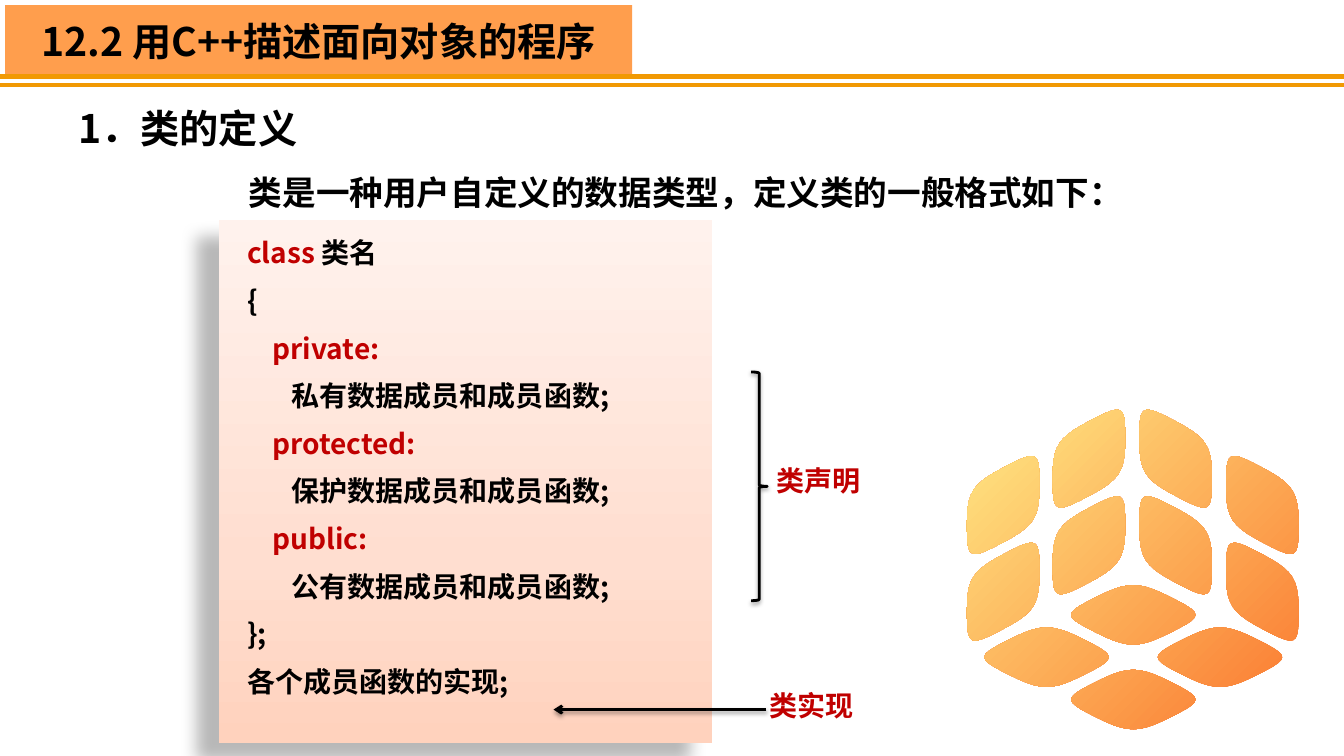
"""Build a slide on defining a C++ class, with an annotated code panel."""
import copy
import dataclasses
import typing

import lxml.etree
import pptx
import pptx.dml.color
import pptx.enum.shapes
import pptx.enum.text
import pptx.oxml
import pptx.oxml.ns
import pptx.util

Inches = pptx.util.Inches
FONT = "Noto Sans CJK SC"
BLACK, RED, BLUE, GOLD = "000000", "C00000", "0000FF", "F19903"
Pair = tuple[float, float]
Span = tuple[str, str]


@dataclasses.dataclass
class Label:
    left: float
    top: float
    width: float
    height: float
    text: str
    size: int
    color: str = BLACK


@dataclasses.dataclass
class Shadow:
    alpha: int
    blur: float
    distance: float
    angle: int


@dataclasses.dataclass
class Face:
    origin: Pair
    column_step: Pair
    row_step: Pair
    half_column: Pair
    half_row: Pair


LABELS = [
    Label(2.37, 1.73, 9.02, 0.42, "类是一种用户自定义的数据类型，定义类的一般格式如下：", 24),
    Label(0.68, 1.08, 3.23, 0.48, "1．类的定义", 28),
    Label(7.6, 4.61, 1.17, 0.37, "类声明", 20, RED),
    Label(7.53, 6.85, 1.17, 0.37, "类实现", 20, RED),
]
CODE: list[list[Span]] = [
    [("class ", RED), ("类名", BLACK)],
    [("{", BLACK)],
    [("    ", BLUE), ("private:", RED)],
    [("       ", BLUE), ("私有数据成员和成员函数;", BLACK)],
    [("    ", BLUE), ("protected:", RED)],
    [("       ", BLUE), ("保护数据成员和成员函数;", BLACK)],
    [("    public:", RED)],
    [("       ", BLUE), ("公有数据成员和成员函数;", BLACK)],
    [("};", BLACK)],
    [("各个成员函数的实现;", BLACK)],
]
CUBE_FACES = [
    Face((9.95, 5.01), (0.85, -0.46), (0, 0.86), (0.36, -0.19), (0, 0.37)),
    Face((11.66, 4.55), (0.86, 0.46), (0, 0.86), (0.36, 0.19), (0, 0.37)),
    Face((11.24, 6.1), (0.86, 0.42), (-0.86, 0.42), (0.36, 0.18), (0.36, -0.18)),
]
PANEL_SHADOW = Shadow(28, 11.8, 19.7, 141)
LINE_SHADOW = Shadow(38, 3.1, 1.6, 90)


def rgb(color: str) -> pptx.dml.color.RGBColor:
    return pptx.dml.color.RGBColor.from_string(color)


def add_span(para: typing.Any, text: str, size: int, color: str) -> None:
    span = para.add_run()
    span.text = text
    span.font.size = pptx.util.Pt(size)
    span.font.bold = True
    span.font.color.rgb = rgb(color)
    span.font.name = FONT
    east_asian = lxml.etree.SubElement(span._r.get_or_add_rPr(), pptx.oxml.ns.qn("a:ea"))
    east_asian.set("typeface", FONT)


def set_frame(frame: typing.Any, side: float, edge: float) -> None:
    frame.word_wrap = True
    frame.auto_size = pptx.enum.text.MSO_AUTO_SIZE.NONE
    frame.vertical_anchor = pptx.enum.text.MSO_ANCHOR.TOP
    frame.margin_left, frame.margin_right = Inches(side), Inches(0.1)
    frame.margin_top = frame.margin_bottom = Inches(edge)


def set_shadow(shape: typing.Any, shadow: Shadow | None = None) -> None:
    properties = shape._element.spPr
    for effects in properties.findall(pptx.oxml.ns.qn("a:effectLst")):
        properties.remove(effects)
    outer = "" if shadow is None else (
        f'<a:outerShdw blurRad="{pptx.util.Pt(shadow.blur)}" dist="{pptx.util.Pt(shadow.distance)}" '
        f'dir="{shadow.angle * 60000}" algn="ctr" rotWithShape="0"><a:srgbClr val="{BLACK}">'
        f'<a:alpha val="{shadow.alpha * 1000}"/></a:srgbClr></a:outerShdw>')
    properties.append(pptx.oxml.parse_xml(
        f'<a:effectLst {pptx.oxml.ns.nsdecls("a")}>{outer}</a:effectLst>'))


def set_gradient(shape: typing.Any, stops: list[tuple[float, str]], angle: int) -> None:
    shape.fill.gradient()
    shape.fill.gradient_angle = angle
    stop_list = shape._element.spPr.find(".//" + pptx.oxml.ns.qn("a:gsLst"))
    while len(stop_list) < len(stops):
        stop_list.append(copy.deepcopy(stop_list[0]))
    for stop, (position, color) in zip(shape.fill.gradient_stops, stops):
        stop.position = position
        stop.color.rgb = rgb(color)
    shape.line.fill.background()


def add_line(page: typing.Any, start: Pair, end: Pair, color: str, width: float) -> typing.Any:
    line = page.shapes.add_connector(
        pptx.enum.shapes.MSO_CONNECTOR.STRAIGHT, *map(Inches, start + end))
    line.line.color.rgb = rgb(color)
    line.line.width = pptx.util.Pt(width)
    set_shadow(line)
    return line


def add_label(page: typing.Any, label: Label) -> None:
    box = page.shapes.add_textbox(*map(Inches, (label.left, label.top, label.width, label.height)))
    set_frame(box.text_frame, 0.1, 0.05)
    para = box.text_frame.paragraphs[0]
    para.line_spacing = 0.8
    add_span(para, label.text, label.size, label.color)


def add_title(page: typing.Any) -> None:
    title = page.shapes.title
    title.left, title.top, title.width, title.height = map(Inches, (0.05, 0.05, 6.22, 0.71))
    title.fill.solid()
    title.fill.fore_color.rgb = rgb("FF9E4D")
    set_frame(title.text_frame, 0.1, 0.12)
    title.text_frame.vertical_anchor = pptx.enum.text.MSO_ANCHOR.MIDDLE
    para = title.text_frame.paragraphs[0]
    para.alignment = pptx.enum.text.PP_ALIGN.CENTER
    para.line_spacing = 1.0
    para.space_before = pptx.util.Pt(0)
    add_span(para, "12.2 用C++描述面向对象的程序", 28, BLACK)


def add_code_panel(page: typing.Any) -> None:
    panel = page.shapes.add_shape(
        pptx.enum.shapes.MSO_SHAPE.RECTANGLE, *map(Inches, (2.17, 2.18, 4.89, 5.19)))
    set_gradient(panel, [(0, "FFD2BD"), (0.35, "FFDED0"), (1, "FFF2ED")], 90)
    set_shadow(panel, PANEL_SHADOW)
    frame = panel.text_frame
    set_frame(frame, 0.28, 0.16)
    for index, spans in enumerate(CODE):
        para = frame.add_paragraph() if index else frame.paragraphs[0]
        para.alignment = pptx.enum.text.PP_ALIGN.LEFT
        para.space_before = pptx.util.Pt(10 if index else 0)
        for text, color in spans:
            add_span(para, text, 20, color)


def tile_outline(face: Face, column: int, row: int, steps: int = 10) -> list[Pair]:
    center = [face.origin[axis] + column * face.column_step[axis] + row * face.row_step[axis]
              for axis in (0, 1)]
    lean = sum(a * b for a, b in zip(face.half_column, face.half_row))
    points = []
    for across, down in ((1, 1), (-1, 1), (-1, -1), (1, -1)):
        pull = 0.95 if across * down * lean > 0 else 0.85
        for step in range(steps):
            part = step / steps if across == down else 1 - step / steps
            reach = [(1 - t) ** 3 + 3 * t * (1 - t) ** 2 + 3 * pull * t ** 2 * (1 - t)
                     for t in (part, 1 - part)]
            points.append(tuple(
                Inches(center[axis] + across * reach[0] * face.half_column[axis]
                       + down * reach[1] * face.half_row[axis]) for axis in (0, 1)))
    return points


def add_cube(page: typing.Any) -> None:
    tiles = [tile_outline(face, column, row)
             for face in CUBE_FACES for column in (0, 1) for row in (0, 1)]
    builder = page.shapes.build_freeform(*tiles[0][0])
    for index, tile in enumerate(tiles):
        if index:
            builder.move_to(*tile[0])
        builder.add_line_segments(tile[1:], close=True)
    cube = builder.convert_to_shape()
    set_gradient(cube, [(0, "FA772E"), (1, "FFE985")], 135)
    set_shadow(cube)


def main() -> None:
    deck = pptx.Presentation()
    deck.slide_width, deck.slide_height = Inches(13.33), Inches(7.5)
    page = deck.slides.add_slide(deck.slide_layouts[5])
    add_title(page)
    for height in (0.76, 0.84):
        add_line(page, (0, height), (13.33, height), GOLD, 3)
    add_code_panel(page)
    for label in LABELS:
        add_label(page, label)
    brace = page.shapes.add_shape(
        pptx.enum.shapes.MSO_SHAPE.RIGHT_BRACE, *map(Inches, (7.45, 3.69, 0.16, 2.27)))
    brace.fill.background()
    brace.line.color.rgb = rgb(BLACK)
    brace.line.width = pptx.util.Pt(2)
    set_shadow(brace, LINE_SHADOW)
    arrow = add_line(page, (7.6, 7.04), (5.49, 7.04), BLACK, 2)
    outline = arrow._element.spPr.find(pptx.oxml.ns.qn("a:ln"))
    lxml.etree.SubElement(outline, pptx.oxml.ns.qn("a:tailEnd")).set("type", "arrow")
    set_shadow(arrow, LINE_SHADOW)
    add_cube(page)
    deck.save("out.pptx")


if __name__ == "__main__":
    main()
